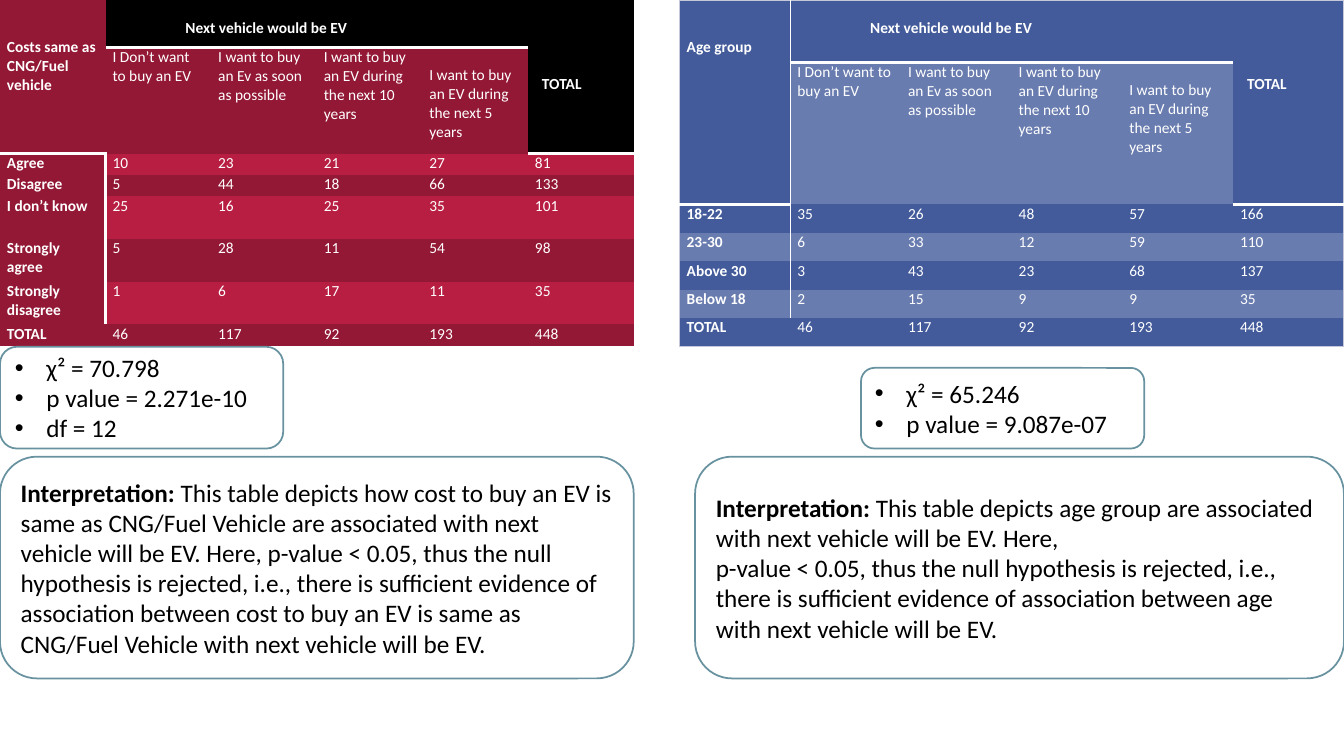
from lxml import etree
from pptx import Presentation
from pptx.dml.color import RGBColor
from pptx.enum.shapes import MSO_SHAPE
from pptx.enum.text import MSO_ANCHOR, PP_ALIGN
from pptx.oxml.ns import qn
from pptx.util import Pt

ROUNDED = MSO_SHAPE.ROUNDED_RECTANGLE
MIDDLE = MSO_ANCHOR.MIDDLE
LEFT = PP_ALIGN.LEFT

FONT = "Calibri"
BLACK = RGBColor(0x00, 0x00, 0x00)
WHITE = RGBColor(0xFF, 0xFF, 0xFF)
DARK_RED = RGBColor(0x93, 0x18, 0x35)
RED = RGBColor(0xB7, 0x1E, 0x42)
BLUE = RGBColor(0x43, 0x5B, 0x9B)
LIGHT_BLUE = RGBColor(0x69, 0x7C, 0xAF)
PALE_BLUE = RGBColor(0xC4, 0xC8, 0xD8)
TEAL = RGBColor(0x68, 0x92, 0xA0)

PLAIN_TABLE_STYLE = "{2D5ABB26-0587-4C30-8999-92F81FD0307C}"
TABLE_LINE = 13.4  # height of one line of table text
LAST_COL = 5

ANSWERS = [
    "I Don’t want to buy an EV",
    "I want to buy an Ev as soon as possible",
    "I want to buy an EV during the next 10 years",
    "I want to buy an EV during the next 5 years",
]
COST_COUNTS = [
    ("Agree", 10, 23, 21, 27, 81),
    ("Disagree", 5, 44, 18, 66, 133),
    ("I don’t know", 25, 16, 25, 35, 101),
    ("Strongly agree", 5, 28, 11, 54, 98),
    ("Strongly disagree", 1, 6, 17, 11, 35),
    ("TOTAL", 46, 117, 92, 193, 448),
]
AGE_COUNTS = [
    ("18-22", 35, 26, 48, 57, 166),
    ("23-30", 6, 33, 12, 59, 110),
    ("Above 30", 3, 43, 23, 68, 137),
    ("Below 18", 2, 15, 9, 9, 35),
    ("TOTAL", 46, 117, 92, 193, 448),
]


def add_run(paragraph, text, size, color, bold=False):
    run = paragraph.add_run()
    run.text = text
    run.font.name = FONT
    run.font.size = Pt(size)
    run.font.bold = bold
    run.font.color.rgb = color


def write_cell(cell, text, bold=False, lines_down=0, indent=0):
    cell.margin_left = Pt(5 + indent)
    cell.margin_right = Pt(5)
    cell.margin_top = Pt(lines_down * TABLE_LINE)
    cell.margin_bottom = Pt(0)
    add_run(cell.text_frame.paragraphs[0], text, 11, WHITE, bold)


def add_borders(cell, borders):
    """Draw the given sides, a dict of side to (colour, width)."""
    properties = cell._tc.get_or_add_tcPr()
    for side in "LRTB":
        if side in borders:
            color, width = borders[side]
            line = etree.SubElement(properties, qn("a:ln" + side), w=str(Pt(width)))
            fill = etree.SubElement(line, qn("a:solidFill"))
            etree.SubElement(fill, qn("a:srgbClr"), val=str(color))


def cell_borders(row, col, last_row, header_rule, label_rule, label_rows, outline):
    borders = {}
    if outline:
        if row == 0:
            borders["T"] = outline
        if row == last_row:
            borders["B"] = outline
        if col == 0:
            borders["L"] = outline
        if col == LAST_COL:
            borders["R"] = outline
    if row == 0 or (row == 1 and col in (0, LAST_COL)):
        borders["B"] = header_rule
    if col == 0 and row in label_rows:
        borders["R"] = label_rule
    return borders


def add_crosstab(slide, left, col_width, row_heights, topic, counts, fill_for,
                 header_rule, label_rule, label_rows, outline=None):
    frame = slide.shapes.add_table(len(row_heights), LAST_COL + 1, Pt(left), Pt(0),
                                   Pt(col_width * (LAST_COL + 1)), Pt(sum(row_heights)))
    for style in frame._element.iter(qn("a:tableStyleId")):
        style.text = PLAIN_TABLE_STYLE
    table = frame.table
    for column in table.columns:
        column.width = Pt(col_width)
    for row, height in zip(table.rows, row_heights):
        row.height = Pt(height)

    # Fills and rules
    last_row = len(row_heights) - 1
    for row in range(last_row + 1):
        for col in range(LAST_COL + 1):
            cell = table.cell(row, col)
            add_borders(cell, cell_borders(row, col, last_row, header_rule,
                                           label_rule, label_rows, outline))
            cell.fill.solid()
            cell.fill.fore_color.rgb = fill_for(row, col)

    # Header
    table.cell(0, 0).merge(table.cell(1, 0))
    table.cell(0, 1).merge(table.cell(0, LAST_COL - 1))
    table.cell(0, LAST_COL).merge(table.cell(1, LAST_COL))
    write_cell(table.cell(0, 0), topic, True, lines_down=2)
    write_cell(table.cell(0, 1), "Next vehicle would be EV", True, lines_down=1, indent=52)
    write_cell(table.cell(0, LAST_COL), "TOTAL", True, lines_down=4, indent=5)
    for col, answer in enumerate(ANSWERS, 1):
        write_cell(table.cell(1, col), answer, lines_down=int(col == len(ANSWERS)))

    # Counts
    for row, values in enumerate(counts, 2):
        for col, value in enumerate(values):
            write_cell(table.cell(row, col), str(value), bold=col == 0)


def cost_fill(row, col):
    if row < 2 and (col == LAST_COL or (row == 0 and col > 0)):
        return BLACK
    return RED if row >= 2 and row % 2 == 0 and col > 0 else DARK_RED


def age_fill(row, col):
    if row == 1:
        return LIGHT_BLUE if 0 < col < LAST_COL else BLUE
    return LIGHT_BLUE if row % 2 else BLUE


def add_rounded_box(slide, left, top, width, height, paragraphs, bulleted=False):
    """Each paragraph is a list of (text, bold) runs."""
    box = slide.shapes.add_shape(ROUNDED, Pt(left), Pt(top), Pt(width), Pt(height))
    box.shadow.inherit = False
    box.fill.solid()
    box.fill.fore_color.rgb = WHITE
    box.line.color.rgb = TEAL
    box.line.width = Pt(1.25)
    frame = box.text_frame
    frame.word_wrap = True
    frame.vertical_anchor = MIDDLE
    for index, runs in enumerate(paragraphs):
        paragraph = frame.add_paragraph() if index else frame.paragraphs[0]
        paragraph.alignment = LEFT
        if bulleted:
            properties = paragraph._p.get_or_add_pPr()
            properties.set("marL", str(Pt(22.5)))
            properties.set("indent", str(Pt(-22.5)))
            etree.SubElement(properties, qn("a:buFont"), typeface="Arial")
            etree.SubElement(properties, qn("a:buChar"), char="•")
        for text, bold in runs:
            add_run(paragraph, text, 18, BLACK, bold)


def add_statistics(slide, left, top, height, results):
    add_rounded_box(slide, left, top, 202.3, height,
                    [[(result, False)] for result in results], bulleted=True)


def add_interpretation(slide, left, width, first, *others):
    paragraphs = [[("Interpretation: ", True), (first, False)]]
    paragraphs += [[(text, False)] for text in others]
    add_rounded_box(slide, left, 326.2, width, 158.4, paragraphs)


def main():
    prs = Presentation()
    prs.slide_width, prs.slide_height = Pt(960), Pt(540)
    slide = prs.slides.add_slide(prs.slide_layouts[6])

    # Cost against the next vehicle
    add_crosstab(slide, 0, 75.45, [33.8, 76, 15.3, 15.3, 30.5, 30.5, 30.5, 15.3],
                 "Costs same as CNG/Fuel vehicle", COST_COUNTS, cost_fill,
                 (WHITE, 2), (WHITE, 2), range(2, 7))
    add_statistics(slide, 0, 247.7, 72.7, ["χ² = 70.798", "p value = 2.271e-10", "df = 12"])
    add_interpretation(
        slide, 0, 452.7,
        "This table depicts how cost to buy an EV is same as CNG/Fuel Vehicle are associated "
        "with next vehicle will be EV. Here, p-value < 0.05, thus the null hypothesis is "
        "rejected, i.e., there is sufficient evidence of association between cost to buy an "
        "EV is same as CNG/Fuel Vehicle with next vehicle will be EV.")

    # Age group against the next vehicle
    add_crosstab(slide, 485.5, 79.08, [44.6, 101.5] + [20.3] * 5,
                 "Age group", AGE_COUNTS, age_fill,
                 (WHITE, 1.75), (WHITE, 1.25), range(6), (PALE_BLUE, 0.75))
    add_statistics(slide, 615, 262.8, 57.6, ["χ² = 65.246", "p value = 9.087e-07"])
    add_interpretation(
        slide, 496.5, 463.5,
        "This table depicts age group are associated with next vehicle will be EV. Here,",
        "p-value < 0.05, thus the null hypothesis is rejected, i.e., there is sufficient "
        "evidence of association between age with next vehicle will be EV.")

    prs.save("out.pptx")


if __name__ == "__main__":
    main()
